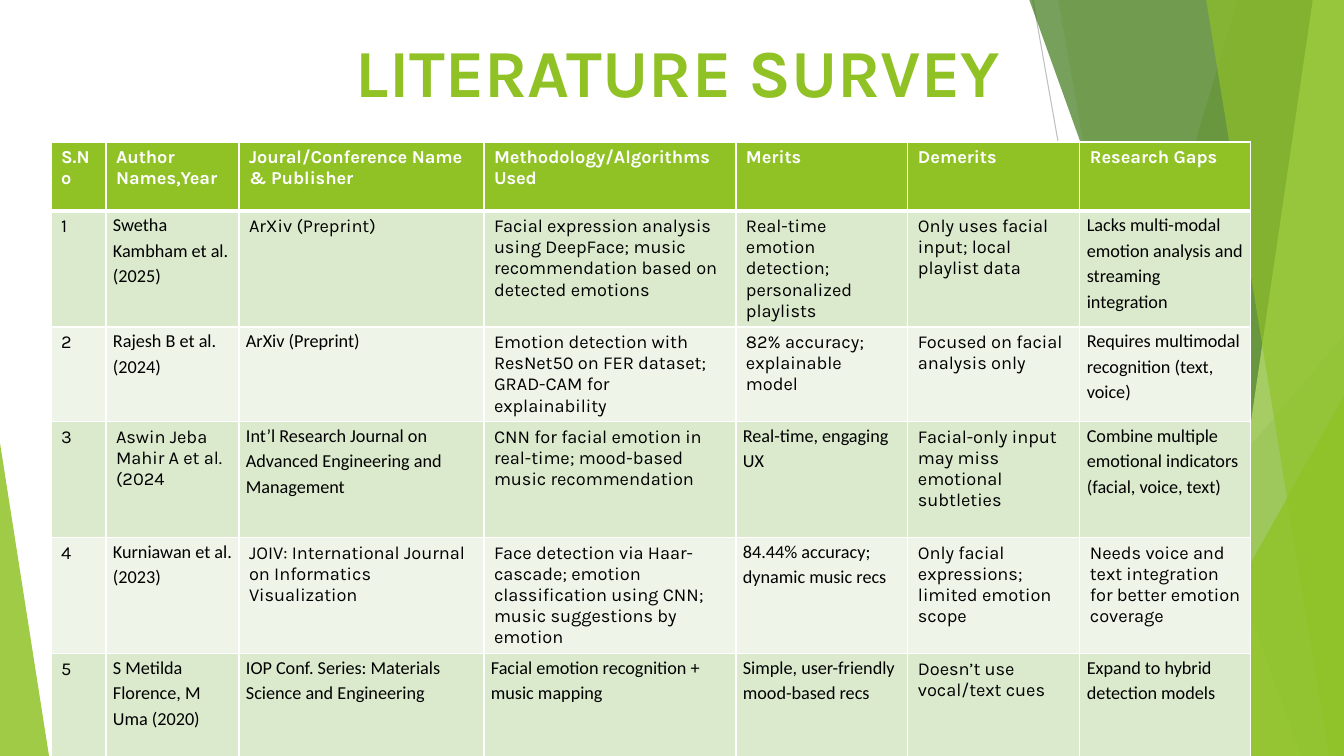
from lxml.etree import SubElement
from pptx import Presentation
from pptx.dml.color import RGBColor
from pptx.enum.shapes import MSO_CONNECTOR, MSO_SHAPE
from pptx.enum.text import MSO_ANCHOR, MSO_AUTO_SIZE, PP_ALIGN
from pptx.oxml.ns import qn
from pptx.util import Pt

SCALE = 9071
WIDTH, HEIGHT = 1344, 756
LIME = RGBColor(0x90, 0xC2, 0x26)
GREEN = RGBColor(0x54, 0xA0, 0x21)
FOREST = RGBColor(0x3F, 0x78, 0x19)
PALE_LIME = RGBColor(0xC0, 0xE4, 0x74)
ODD_ROW = RGBColor(0xDB, 0xE9, 0xCD)
EVEN_ROW = RGBColor(0xEE, 0xF4, 0xE8)
WHITE = RGBColor(0xFF, 0xFF, 0xFF)
BLACK = RGBColor(0, 0, 0)
GRAY = RGBColor(0xBF, 0xBF, 0xBF)
LIGHT_GRAY = RGBColor(0xD9, 0xD9, 0xD9)
FONTS = {"K": "Karla", "C": "Calibri"}

COLUMNS = [55, 133, 245, 252, 172, 172, 171]
ROW_HEIGHTS = [69, 116, 90, 116, 116, 115]
HEADERS = ["S.No", "Author Names,Year", "Joural/Conference Name & Publisher",
           "Methodology/Algorithms Used", "Merits", "Demerits", "Research Gaps"]
PAPERS = [
    ("KCKKKKC", ["1", "Swetha Kambham et al. (2025)", "ArXiv (Preprint)",
                 "Facial expression analysis using DeepFace; music recommendation based on detected emotions",
                 "Real-time emotion detection; personalized playlists",
                 "Only uses facial input; local playlist data",
                 "Lacks multi-modal emotion analysis and streaming integration"]),
    ("KCCKKKC", ["2", "Rajesh B et al. (2024)", "ArXiv (Preprint)",
                 "Emotion detection with ResNet50 on FER dataset; GRAD-CAM for explainability",
                 "82% accuracy; explainable model",
                 "Focused on facial analysis only",
                 "Requires multimodal recognition (text, voice)"]),
    ("KKCKCKC", ["3", "Aswin Jeba Mahir A et al. (2024",
                 "Int’l Research Journal on Advanced Engineering and Management",
                 "CNN for facial emotion in real-time; mood-based music recommendation",
                 "Real-time, engaging UX",
                 "Facial-only input may miss emotional subtleties",
                 "Combine multiple emotional indicators (facial, voice, text)"]),
    ("KCKKCKK", ["4", "Kurniawan et al. (2023)",
                 "JOIV: International Journal on Informatics Visualization",
                 "Face detection via Haar-cascade; emotion classification using CNN; music suggestions by emotion",
                 "84.44% accuracy; dynamic music recs",
                 "Only facial expressions; limited emotion scope",
                 "Needs voice and text integration for better emotion coverage"]),
    ("KCCCCKC", ["5", "S Metilda Florence, M Uma (2020)",
                 "IOP Conf. Series: Materials Science and Engineering",
                 "Facial emotion recognition + music mapping",
                 "Simple, user-friendly mood-based recs",
                 "Doesn’t use vocal/text cues",
                 "Expand to hybrid detection models"]),
]


def px(*lengths):
    """Turn pixel lengths into EMU."""
    return [length * SCALE for length in lengths]


def paint(shape, color, opacity):
    """Fill a shape with a translucent colour, without line or shadow."""
    shape.shadow.inherit = False
    shape.line.fill.background()
    shape.fill.solid()
    shape.fill.fore_color.rgb = color
    tint = shape._element.spPr.find(qn("a:solidFill"))[0]
    SubElement(tint, qn("a:alpha"), val=str(opacity * 1000))


def add_ray(page, start, end, color):
    """Draw a thin straight line."""
    ray = page.shapes.add_connector(MSO_CONNECTOR.STRAIGHT, *px(*start, *end))
    ray.line.color.rgb = color
    ray.line.width = Pt(0.75)
    SubElement(ray._element.spPr, qn("a:effectLst"))


def add_band(page, top_x, bottom_x, color, opacity):
    """Fill the area between a slanted edge and the right side of the slide."""
    builder = page.shapes.build_freeform(top_x, -1, scale=SCALE)
    builder.add_line_segments([(WIDTH, -1), (WIDTH, HEIGHT), (bottom_x, HEIGHT)])
    paint(builder.convert_to_shape(), color, opacity)


def add_corner(page, box, apex, color, opacity):
    """Draw a triangle whose apex lies at the given share of its width."""
    corner = page.shapes.add_shape(MSO_SHAPE.ISOSCELES_TRIANGLE, *px(*box))
    corner.adjustments[0] = apex
    paint(corner, color, opacity)


def add_backdrop(page):
    """Build the green facets at both sides of the slide."""
    add_ray(page, (1033, 0), (1167, HEIGHT), GRAY)
    add_ray(page, (WIDTH, 406), (819, HEIGHT), LIGHT_GRAY)
    add_band(page, 1238, 1012, LIME, 30)
    add_band(page, 1058, 1192, LIME, 20)
    add_corner(page, (985, 336, 359, 420), 1, GREEN, 72)
    add_band(page, 1029, 1301, FOREST, 70)
    add_band(page, 1313, 1202, PALE_LIME, 70)
    add_band(page, 1206, 1329, LIME, 65)
    add_corner(page, (1143, 396, 201, 360), 1, LIME, 80)
    add_corner(page, (0, 443, 49, 313), 0, LIME, 85)


def add_title(page, box):
    """Place and format the slide title."""
    title = page.shapes.title
    title.left, title.top, title.width, title.height = px(*box)
    frame = title.text_frame
    frame.text = "LITERATURE SURVEY"
    frame.auto_size = MSO_AUTO_SIZE.NONE
    frame.vertical_anchor = MSO_ANCHOR.MIDDLE
    frame.margin_left = 263 * SCALE
    para = frame.paragraphs[0]
    para.alignment = PP_ALIGN.LEFT
    para.font.name, para.font.size, para.font.bold = "Karla", Pt(48), True
    para.font.color.rgb = LIME


def add_borders(cell, top, bottom):
    """Give a cell white borders, with top and bottom widths in points."""
    properties = cell._tc.get_or_add_tcPr()
    for side, width in zip("LRTB", (1, 1, top, bottom)):
        line = SubElement(properties, qn(f"a:ln{side}"), w=str(Pt(width)))
        fill = SubElement(line, qn("a:solidFill"))
        SubElement(fill, qn("a:srgbClr"), val=str(WHITE))


def fill_cell(cell, text, font, fill, color, bold):
    """Write and format the text of one cell."""
    cell.text = text
    cell.fill.solid()
    cell.fill.fore_color.rgb = fill
    para = cell.text_frame.paragraphs[0]
    if font == "C":
        cell.margin_left = cell.margin_right = 7 * SCALE
        cell.margin_top = cell.margin_bottom = 0
        para.line_spacing = 1.15
        para.space_after = Pt(10)
    para.font.name, para.font.size, para.font.bold = FONTS[font], Pt(13), bold
    para.font.color.rgb = color


def add_survey(page, left, top):
    """Build the table of surveyed papers."""
    box = px(left, top, sum(COLUMNS), sum(ROW_HEIGHTS))
    table = page.shapes.add_table(len(ROW_HEIGHTS), len(COLUMNS), *box).table
    for column, width in zip(table.columns, COLUMNS):
        column.width = width * SCALE
    for row, height in zip(table.rows, ROW_HEIGHTS):
        row.height = height * SCALE
    for number, (fonts, texts) in enumerate([("K" * len(HEADERS), HEADERS)] + PAPERS):
        header = number == 0
        fill = LIME if header else ODD_ROW if number % 2 else EVEN_ROW
        for cell, font, text in zip(table.rows[number].cells, fonts, texts):
            add_borders(cell, 3 if number == 1 else 1, 3 if header else 1)
            fill_cell(cell, text, font, fill, WHITE if header else BLACK, header)


def main():
    """Build and save the deck."""
    deck = Presentation()
    deck.slide_width, deck.slide_height = px(WIDTH, HEIGHT)
    page = deck.slides.add_slide(deck.slide_layouts[5])
    add_backdrop(page)
    add_title(page, (93, 18, 1159, 105))
    add_survey(page, 51, 142)
    deck.save("out.pptx")


if __name__ == "__main__":
    main()
